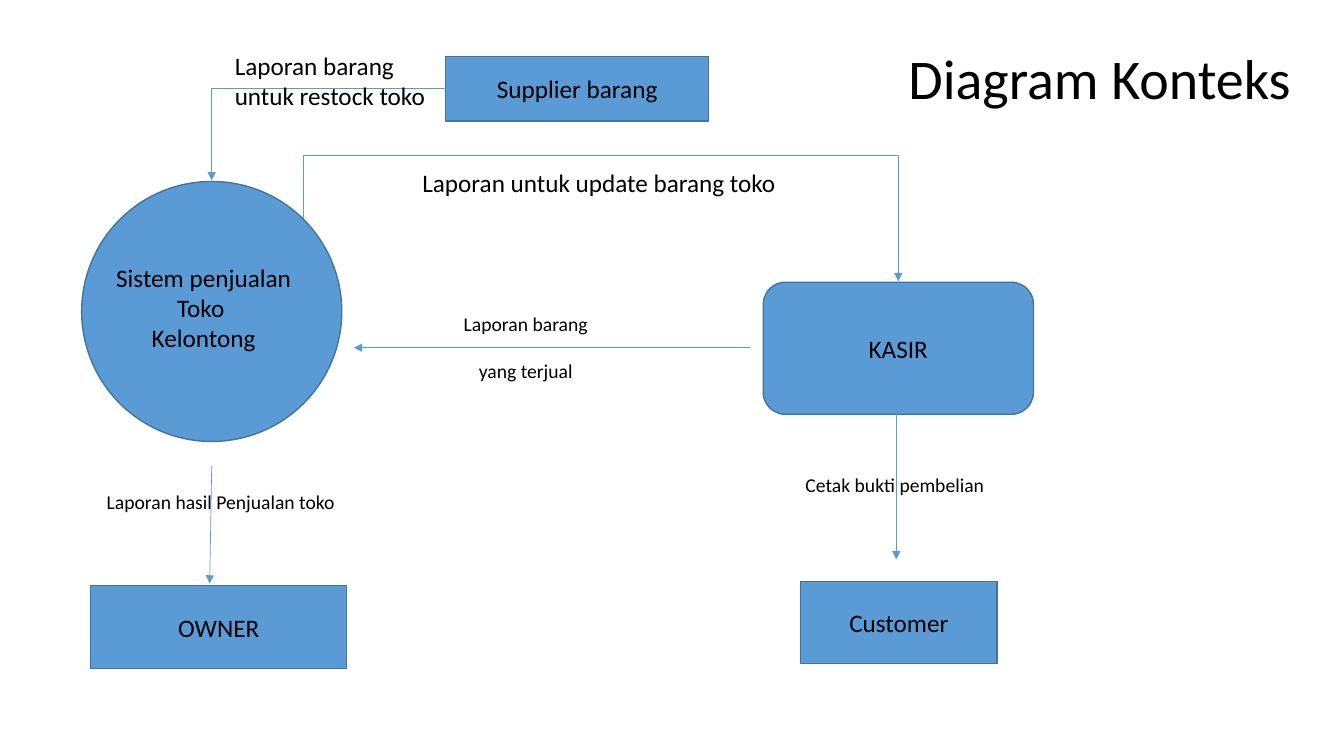
from dataclasses import dataclass

from lxml.etree import SubElement
from pptx import Presentation
from pptx.dml.color import RGBColor
from pptx.enum.shapes import MSO_CONNECTOR, MSO_SHAPE
from pptx.enum.text import MSO_ANCHOR, MSO_AUTO_SIZE, PP_ALIGN
from pptx.oxml.ns import qn
from pptx.shapes.connector import Connector
from pptx.slide import Slide
from pptx.text.text import TextFrame
from pptx.util import Inches, Pt

BLACK = RGBColor(0x00, 0x00, 0x00)
BLUE = RGBColor(0x5B, 0x9B, 0xD5)
DARK_BLUE = RGBColor(0x43, 0x73, 0x9E)
FONT = "Calibri"
GRID = Inches(1)  # width of a column and height of a row
COLUMNS, ROWS = 13.33, 7.5
SYSTEM_AXIS, CASHIER_AXIS = 2.1, 8.91
SUPPLIER_ROW = 0.88


@dataclass(frozen=True)
class Area:
    """A rectangle in columns and rows."""
    left: float
    top: float
    width: float
    height: float

    def lengths(self) -> list[int]:
        """Return left, top, width and height as slide lengths."""
        return [round(value * GRID) for value in
                (self.left, self.top, self.width, self.height)]


@dataclass(frozen=True)
class Node:
    """An entity or process of the diagram."""
    kind: MSO_SHAPE
    area: Area
    text: str = ""


@dataclass(frozen=True)
class Label:
    """Free text beside a flow or on a node."""
    area: Area
    lines: tuple[str, ...]
    size: int = 18
    align: PP_ALIGN = PP_ALIGN.LEFT
    wrap: bool = False
    gap: int = 0


@dataclass(frozen=True)
class Flow:
    """A straight arrow between two grid points."""
    start: tuple[float, float]
    end: tuple[float, float]


@dataclass(frozen=True)
class BentFlow:
    """An elbow arrow with its unrotated frame, turn in degrees and flip."""
    area: Area
    preset: str
    turn: int
    flip: str
    adjustment: int | None = None


NODES = (
    Node(MSO_SHAPE.OVAL, Area(SYSTEM_AXIS - 1.29, 1.8, 2.58, 2.58)),
    Node(MSO_SHAPE.ROUNDED_RECTANGLE, Area(CASHIER_AXIS - 1.34, 2.8, 2.68, 1.31), "KASIR"),
    Node(MSO_SHAPE.RECTANGLE, Area(0.9, 5.81, 2.54, 0.82), "OWNER"),
    Node(MSO_SHAPE.RECTANGLE, Area(7.94, 5.77, 1.95, 0.81), "Customer"),
    Node(MSO_SHAPE.RECTANGLE, Area(4.42, SUPPLIER_ROW - 0.32, 2.61, 0.64), "Supplier barang"),
)
FLOWS = (
    Flow((SYSTEM_AXIS, 4.62), (2.08, 5.79)),
    Flow((8.89, 4.1), (8.89, 5.55)),
    Flow((7.44, 3.45), (3.51, 3.45)),
)
BENT_FLOWS = (
    BentFlow(Area(SYSTEM_AXIS, SUPPLIER_ROW, 2.32, 0.91), "bentConnector2", 180, "flipV"),
    BentFlow(Area(5.65, -0.47, 0.62, 5.9), "bentConnector3", 270, "flipH", -101100),
)
TITLE = Label(Area(8.91, 0.38, 4.03, 0.77), ("Diagram Konteks",), 40)
LABELS = (
    Label(Area(1.02, 2.55, 2, 1.01), ("Sistem penjualan", "Toko ", "Kelontong"),
          align=PP_ALIGN.CENTER, wrap=True),
    Label(Area(0.96, 4.81, 2.54, 0.57), ("Laporan hasil Penjualan toko",), 14, wrap=True),
    Label(Area(7.89, 4.64, 2, 0.34), ("Cetak bukti pembelian",), 14),
    Label(Area(4.49, 3.04, 1.45, 0.81), ("Laporan barang", "yang terjual"), 14,
          PP_ALIGN.CENTER, gap=17),
    Label(Area(2.23, 0.45, 2.11, 0.71), ("Laporan barang ", "untuk restock toko")),
    Label(Area(4.09, 1.61, 3.75, 0.4), ("Laporan untuk update barang toko",)),
)


def write_lines(frame: TextFrame, lines: tuple[str, ...], size: int,
                align: PP_ALIGN, gap: int = 0) -> None:
    """Write one paragraph a line, with a gap in points between them."""
    for index, line in enumerate(lines):
        paragraph = frame.add_paragraph() if index else frame.paragraphs[0]
        paragraph.alignment = align
        paragraph.space_before = Pt(gap if index else 0)
        run = paragraph.add_run()
        run.text = line
        run.font.size = Pt(size)
        run.font.name = FONT
        run.font.color.rgb = BLACK


def fill_label(frame: TextFrame, label: Label) -> None:
    """Set up a label's frame and write its text."""
    frame.word_wrap = label.wrap
    frame.auto_size = MSO_AUTO_SIZE.SHAPE_TO_FIT_TEXT
    frame.vertical_anchor = MSO_ANCHOR.TOP
    write_lines(frame, label.lines, label.size, label.align, label.gap)


def add_title(slide: Slide) -> None:
    """Place and fill the title placeholder."""
    title = slide.shapes.title
    title.left, title.top, title.width, title.height = TITLE.area.lengths()
    fill_label(title.text_frame, TITLE)


def add_node(slide: Slide, node: Node) -> None:
    """Draw a filled node with centred text."""
    shape = slide.shapes.add_shape(node.kind, *node.area.lengths())
    shape.shadow.inherit = False
    shape.fill.solid()
    shape.fill.fore_color.rgb = BLUE
    shape.line.color.rgb = DARK_BLUE
    shape.line.width = Pt(1)
    if node.text:
        shape.text_frame.vertical_anchor = MSO_ANCHOR.MIDDLE
        write_lines(shape.text_frame, (node.text,), 18, PP_ALIGN.CENTER)


def format_arrow(connector: Connector) -> None:
    """Give a connector its line and arrowhead and no shadow."""
    connector.line.color.rgb = BLUE
    connector.line.width = Pt(0.5)
    properties = connector.element.spPr
    SubElement(properties.find(qn("a:ln")), qn("a:tailEnd"), type="triangle")
    SubElement(properties, qn("a:effectLst"))


def add_flow(slide: Slide, flow: Flow) -> None:
    """Draw a straight arrow."""
    points = [round(value * GRID) for value in flow.start + flow.end]
    format_arrow(slide.shapes.add_connector(MSO_CONNECTOR.STRAIGHT, *points))


def add_bent_flow(slide: Slide, flow: BentFlow) -> None:
    """Draw an elbow arrow, turned and flipped within its frame."""
    left, top, width, height = flow.area.lengths()
    connector = slide.shapes.add_connector(
        MSO_CONNECTOR.ELBOW, left, top, left + width, top + height)
    properties = connector.element.spPr
    frame = properties.find(qn("a:xfrm"))
    frame.set("rot", str(flow.turn * 60000))
    frame.set(flow.flip, "1")
    geometry = properties.find(qn("a:prstGeom"))
    geometry.set("prst", flow.preset)
    if flow.adjustment is not None:
        SubElement(geometry.find(qn("a:avLst")), qn("a:gd"),
                   name="adj1", fmla=f"val {flow.adjustment}")
    format_arrow(connector)


def add_label(slide: Slide, label: Label) -> None:
    """Draw a text box."""
    fill_label(slide.shapes.add_textbox(*label.area.lengths()).text_frame, label)


def main() -> None:
    """Build and save the context diagram."""
    presentation = Presentation()
    presentation.slide_width = round(COLUMNS * GRID)
    presentation.slide_height = round(ROWS * GRID)
    slide = presentation.slides.add_slide(
        presentation.slide_layouts.get_by_name("Title Only"))
    add_title(slide)
    for draw, items in ((add_node, NODES), (add_flow, FLOWS),
                        (add_bent_flow, BENT_FLOWS), (add_label, LABELS)):
        for item in items:
            draw(slide, item)
    presentation.save("out.pptx")


main()
